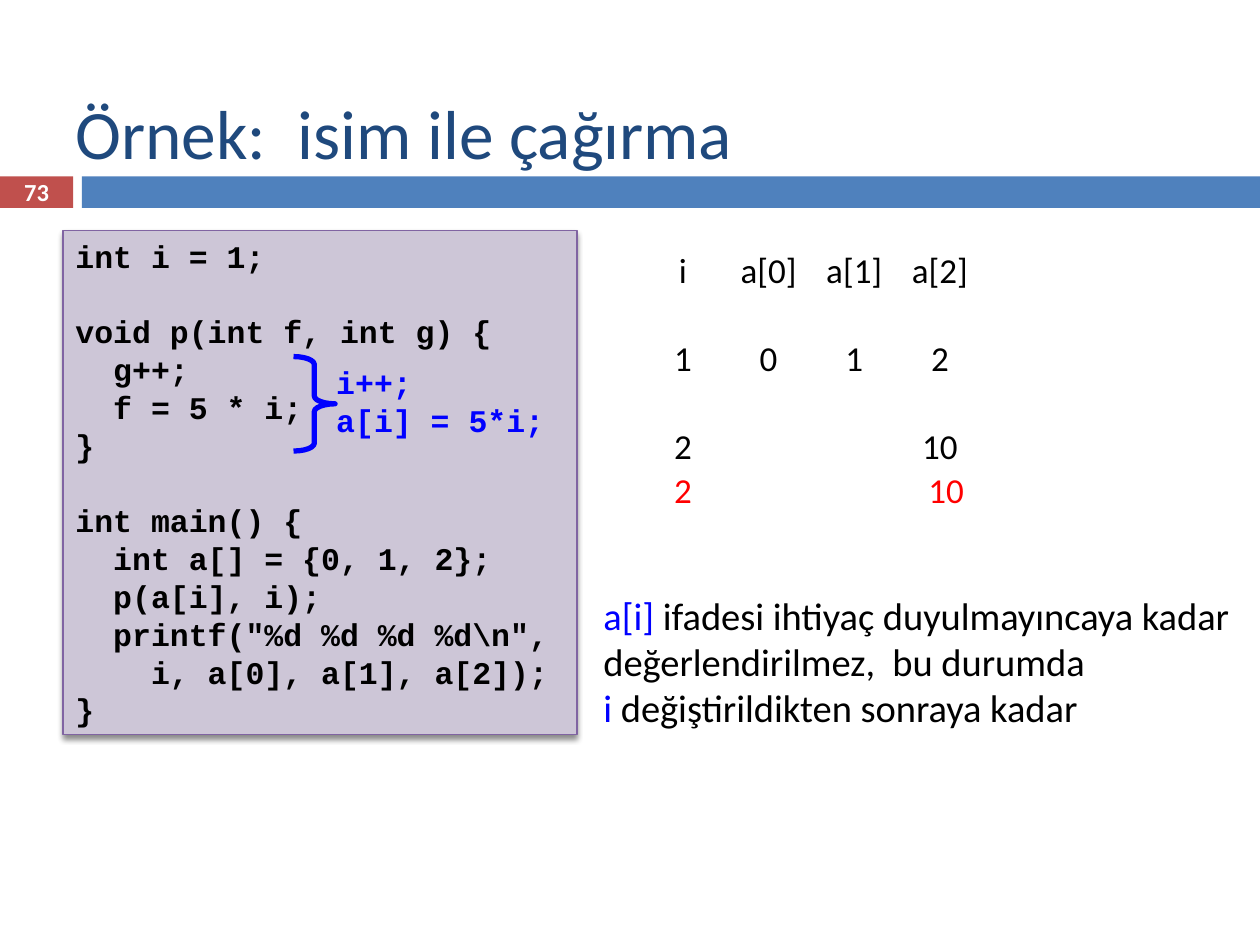
from lxml import etree
from pptx import Presentation
from pptx.dml.color import RGBColor
from pptx.enum.shapes import MSO_SHAPE as Shape
from pptx.enum.text import MSO_ANCHOR as Anchor, MSO_AUTO_SIZE as AutoSize, PP_ALIGN as Align
from pptx.oxml.ns import qn
from pptx.util import Inches, Pt

BLACK = RGBColor(0, 0, 0)
WHITE = RGBColor(255, 255, 255)
RED = RGBColor(255, 0, 0)
BLUE = RGBColor(0, 0, 255)
NAVY = RGBColor(0x1F, 0x49, 0x7D)
BAR_BLUE = RGBColor(0x4F, 0x81, 0xBD)
BAR_RED = RGBColor(0xC0, 0x50, 0x4D)
LILAC = RGBColor(0xCD, 0xC6, 0xD7)
PURPLE = RGBColor(0x80, 0x64, 0xA2)

TITLE = dict(name="Calibri", size=Pt(39.6), bold=False)
CODE = dict(name="Courier New", size=Pt(18), bold=True)
CELL = dict(name="Calibri", size=Pt(20))
NOTE = dict(name="Calibri", size=Pt(22))
NUMBER = dict(name="Calibri", size=Pt(14), bold=True)
CODE_LINE = Pt(21.6)

PROGRAM = r"""int i = 1;

void p(int f, int g) {
  g++;
  f = 5 * i;
}

int main() {
  int a[] = {0, 1, 2};
  p(a[i], i);
  printf("%d %d %d %d\n",
    i, a[0], a[1], a[2]);
}"""

EXPANSION = "i++;\na[i] = 5*i;"

TRACE_LEFT, TRACE_STEP = 5.08, 0.68
TRACE = [
    (1.92, BLACK, ["i", "a[0]", "a[1]", "a[2]"]),
    (2.62, BLACK, ["1", "0", "1", "2"]),
    (3.32, BLACK, ["2", "", "", "10"]),
    (3.67, RED, ["2", "", "", "10"]),
]

EXPLANATION = [
    [("a[i] ", BLUE), ("ifadesi ihtiyaç duyulmayıncaya kadar", BLACK)],
    [("değerlendirilmez,  bu durumda", BLACK)],
    [("i", BLUE), (" değiştirildikten sonraya kadar", BLACK)],
]


def inches(*lengths):
    return [Inches(length) for length in lengths]


def write_run(paragraph, text, color, style):
    run = paragraph.add_run()
    run.text = text
    for attribute, value in style.items():
        setattr(run.font, attribute, value)
    run.font.color.rgb = color


def write_lines(frame, lines, style, align=Align.LEFT):
    for index, pieces in enumerate(lines):
        paragraph = frame.add_paragraph() if index else frame.paragraphs[0]
        paragraph.alignment = align
        for text, color in pieces:
            write_run(paragraph, text, color, style)


def write_code(frame, code, color):
    blocks = [block.split("\n") for block in code.split("\n\n")]
    write_lines(frame, [[(line, color)] for block in blocks for line in block], CODE)
    for paragraph in frame.paragraphs:
        paragraph.line_spacing = CODE_LINE
    start = 0
    for block in blocks[:-1]:
        start += len(block)
        frame.paragraphs[start].space_before = CODE_LINE


def add_text_frame(slide, box, wrap=True, anchor=Anchor.TOP):
    frame = slide.shapes.add_textbox(*inches(*box)).text_frame
    frame.word_wrap = wrap
    frame.vertical_anchor = anchor
    return frame


def add_bar(slide, box, color):
    bar = slide.shapes.add_shape(Shape.RECTANGLE, *inches(*box))
    bar.shadow.inherit = False
    bar.fill.solid()
    bar.fill.fore_color.rgb = color
    bar.line.fill.background()
    return bar


def add_drop_shadow(panel):
    effects = panel._element.spPr.find(qn("a:effectLst"))
    shadow = etree.SubElement(effects, qn("a:outerShdw"), blurRad=str(Pt(3)),
                              dist=str(Pt(2.4)), dir="5400000", rotWithShape="0")
    color = etree.SubElement(shadow, qn("a:srgbClr"), val="000000")
    etree.SubElement(color, qn("a:alpha"), val="45000")


def add_title(slide, text):
    title = slide.shapes.title
    title.left, title.top, title.width, title.height = inches(0.5, 0.67, 8.92, 0.75)
    frame = title.text_frame
    frame.auto_size = AutoSize.NONE
    frame.vertical_anchor = Anchor.MIDDLE
    write_lines(frame, [[(text, NAVY)]], TITLE)


def add_program(slide):
    panel = add_bar(slide, (0.5, 1.83, 4.08, 4), LILAC)
    panel.line.color.rgb = PURPLE
    panel.line.width = Pt(0.79)
    add_drop_shadow(panel)
    panel.text_frame.vertical_anchor = Anchor.TOP
    panel.text_frame.word_wrap = True
    write_code(panel.text_frame, PROGRAM, BLACK)


def add_brace(slide):
    brace = slide.shapes.add_shape(Shape.RIGHT_BRACE, *inches(2.33, 2.83, 0.33, 0.75))
    brace.shadow.inherit = False
    brace.adjustments[0] = 0.19
    brace.fill.background()
    brace.line.color.rgb = BLUE
    brace.line.width = Pt(3)


def add_trace(slide):
    for top, color, values in TRACE:
        for column, value in enumerate(values):
            if value:
                nudge = 0.05 if color == RED and column else 0
                left = TRACE_LEFT + column * TRACE_STEP + nudge
                frame = add_text_frame(slide, (left, top, TRACE_STEP, 0.7))
                write_lines(frame, [[(value, color)]], CELL, Align.CENTER)


def main():
    deck = Presentation()
    deck.slide_width, deck.slide_height = inches(10, 7.5)
    slide = deck.slides.add_slide(deck.slide_layouts[5])

    add_bar(slide, (0, 1.4, 0.58, 0.25), BAR_RED)
    add_bar(slide, (0.65, 1.4, 9.35, 0.25), BAR_BLUE)
    add_title(slide, "Örnek:  isim ile çağırma")
    add_program(slide)
    add_trace(slide)
    write_code(add_text_frame(slide, (2.57, 2.83, 1.85, 0.7), wrap=False), EXPANSION, BLUE)
    add_brace(slide)
    write_lines(add_text_frame(slide, (4.69, 4.65, 5.29, 1.21)), EXPLANATION, NOTE)
    number = add_text_frame(slide, (0, 1.39, 0.58, 0.27), anchor=Anchor.MIDDLE)
    write_lines(number, [[("73", WHITE)]], NUMBER, Align.CENTER)

    deck.save("out.pptx")


if __name__ == "__main__":
    main()
